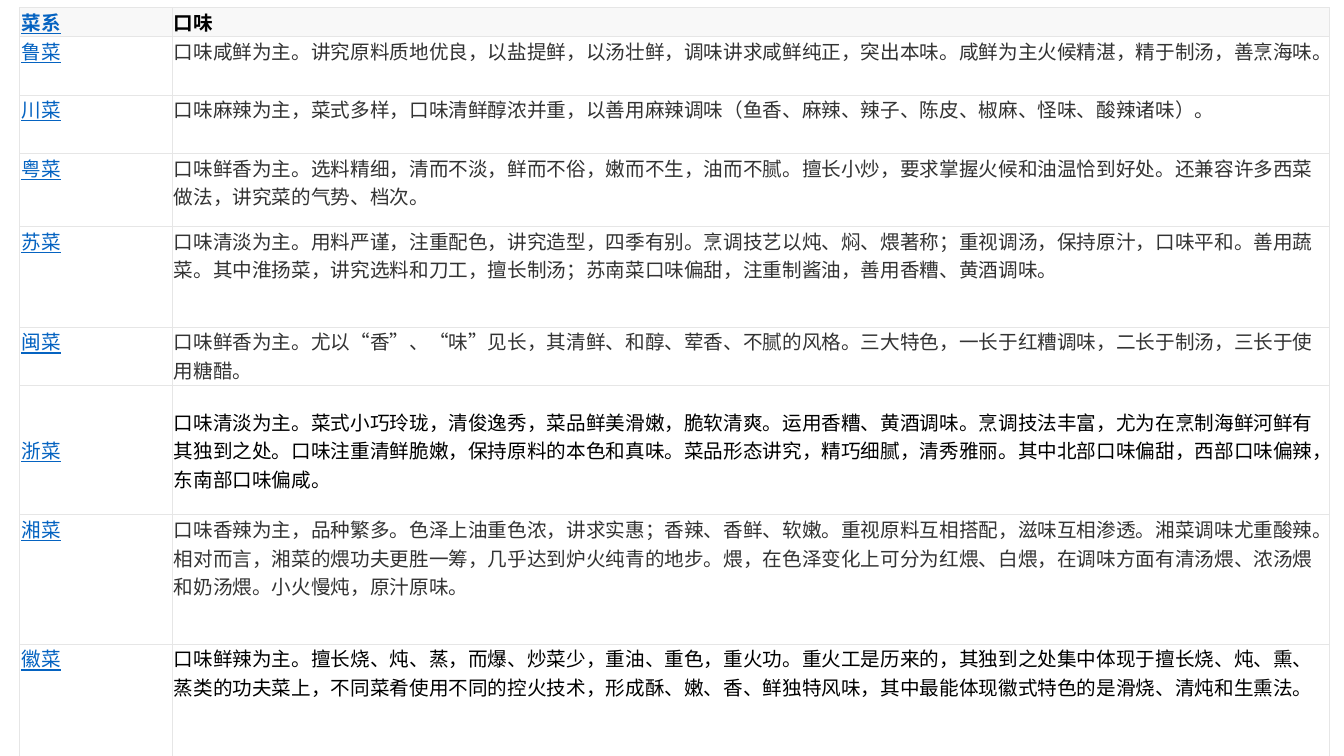
from lxml.etree import SubElement
from pptx import Presentation
from pptx.dml.color import RGBColor
from pptx.enum.text import MSO_ANCHOR as Anchor
from pptx.oxml import parse_xml
from pptx.oxml.ns import nsdecls, qn
from pptx.util import Cm, Pt

FONT = "Noto Sans CJK SC"
LINK_BLUE = RGBColor(0x05, 0x63, 0xC1)
BLACK = RGBColor(0, 0, 0)
DARK_GREY = RGBColor(0x33, 0x33, 0x33)
HEADER_GREY = RGBColor(0xF8, 0xF8, 0xF8)
BORDER_GREY = RGBColor(0xE6, 0xE6, 0xE6)

COLUMN_WIDTHS = (3.84, 29.18)
HEADINGS = ("菜系", "口味")
HEADER_HEIGHT = 0.73

# Cuisine, row height in cm, flavour colour, vertical anchor, flavour
CUISINES = [
    ("鲁菜", 1.47, DARK_GREY, Anchor.TOP,
     "口味咸鲜为主。讲究原料质地优良，以盐提鲜，以汤壮鲜，调味讲求咸鲜纯正，突出本味。"
     "咸鲜为主火候精湛，精于制汤，善烹海味。"),
    ("川菜", 1.47, DARK_GREY, Anchor.TOP,
     "口味麻辣为主，菜式多样，口味清鲜醇浓并重，以善用麻辣调味"
     "（鱼香、麻辣、辣子、陈皮、椒麻、怪味、酸辣诸味）。"),
    ("粤菜", 1.84, DARK_GREY, Anchor.TOP,
     "口味鲜香为主。选料精细，清而不淡，鲜而不俗，嫩而不生，油而不腻。"
     "擅长小炒，要求掌握火候和油温恰到好处。还兼容许多西菜做法，讲究菜的气势、档次。"),
    ("苏菜", 2.54, DARK_GREY, Anchor.TOP,
     "口味清淡为主。用料严谨，注重配色，讲究造型，四季有别。"
     "烹调技艺以炖、焖、煨著称；重视调汤，保持原汁，口味平和。善用蔬菜。"
     "其中淮扬菜，讲究选料和刀工，擅长制汤；苏南菜口味偏甜，注重制酱油，善用香糟、黄酒调味。"),
    ("闽菜", 1.47, DARK_GREY, Anchor.TOP,
     "口味鲜香为主。尤以“香”、“味”见长，其清鲜、和醇、荤香、不腻的风格。"
     "三大特色，一长于红糟调味，二长于制汤，三长于使用糖醋。"),
    ("浙菜", 3.26, BLACK, Anchor.MIDDLE,
     "口味清淡为主。菜式小巧玲珑，清俊逸秀，菜品鲜美滑嫩，脆软清爽。运用香糟、黄酒调味。"
     "烹调技法丰富，尤为在烹制海鲜河鲜有其独到之处。口味注重清鲜脆嫩，保持原料的本色和真味。"
     "菜品形态讲究，精巧细腻，清秀雅丽。其中北部口味偏甜，西部口味偏辣，东南部口味偏咸。"),
    ("湘菜", 3.26, DARK_GREY, Anchor.TOP,
     "口味香辣为主，品种繁多。色泽上油重色浓，讲求实惠；香辣、香鲜、软嫩。"
     "重视原料互相搭配，滋味互相渗透。湘菜调味尤重酸辣。"
     "相对而言，湘菜的煨功夫更胜一筹，几乎达到炉火纯青的地步。"
     "煨，在色泽变化上可分为红煨、白煨，在调味方面有清汤煨、浓汤煨和奶汤煨。小火慢炖，原汁原味。"),
    ("徽菜", 2.89, BLACK, Anchor.TOP,
     "口味鲜辣为主。擅长烧、炖、蒸，而爆、炒菜少，重油、重色，重火功。"
     "重火工是历来的，其独到之处集中体现于擅长烧、炖、熏、蒸类的功夫菜上，"
     "不同菜肴使用不同的控火技术，形成酥、嫩、香、鲜独特风味，"
     "其中最能体现徽式特色的是滑烧、清炖和生熏法。"),
]


def add_borders(cell):
    properties = cell._tc.get_or_add_tcPr()
    for position, side in enumerate(("lnL", "lnR", "lnT", "lnB")):
        properties.insert(position, parse_xml(
            f'<a:{side} {nsdecls("a")} w="{Pt(0.5)}"><a:solidFill>'
            f'<a:srgbClr val="{BORDER_GREY}"/></a:solidFill></a:{side}>'))


def fill_cell(cell, wording, color, anchor, underline=False, header=False):
    cell.margin_left = cell.margin_right = Cm(0.05)
    cell.margin_top = cell.margin_bottom = 0
    cell.vertical_anchor = anchor
    if header:
        cell.fill.solid()
        cell.fill.fore_color.rgb = HEADER_GREY
    else:
        cell.fill.background()
    add_borders(cell)

    cell.text_frame.text = wording
    run = cell.text_frame.paragraphs[0].runs[0]
    run.font.size = Pt(14)
    run.font.bold = header
    run.font.underline = underline
    run.font.color.rgb = color
    run.font.name = FONT
    SubElement(run.font._element, qn("a:ea")).set("typeface", FONT)


def add_cuisine_table(slide, left, top, width, height):
    table = slide.shapes.add_table(
        len(CUISINES) + 1, len(HEADINGS), left, top, width, height).table
    table.first_row = table.horz_banding = False
    for column, column_width in zip(table.columns, COLUMN_WIDTHS):
        column.width = Cm(column_width)

    # Header row
    table.rows[0].height = Cm(HEADER_HEIGHT)
    for index, heading in enumerate(HEADINGS):
        is_link = index == 0
        fill_cell(table.cell(0, index), heading, LINK_BLUE if is_link else BLACK,
                  Anchor.MIDDLE, underline=is_link, header=True)

    # One row per cuisine
    for index, (cuisine, row_height, color, anchor, flavour) in enumerate(CUISINES, 1):
        table.rows[index].height = Cm(row_height)
        fill_cell(table.cell(index, 0), cuisine, LINK_BLUE, anchor, underline=True)
        fill_cell(table.cell(index, 1), flavour, color, anchor)


def main():
    deck = Presentation()
    deck.slide_width, deck.slide_height = Cm(33.87), Cm(19.05)
    slide = deck.slides.add_slide(deck.slide_layouts[6])
    add_cuisine_table(slide, Cm(0.49), Cm(0.19), Cm(33.02), Cm(18.93))
    deck.save("out.pptx")


if __name__ == "__main__":
    main()
